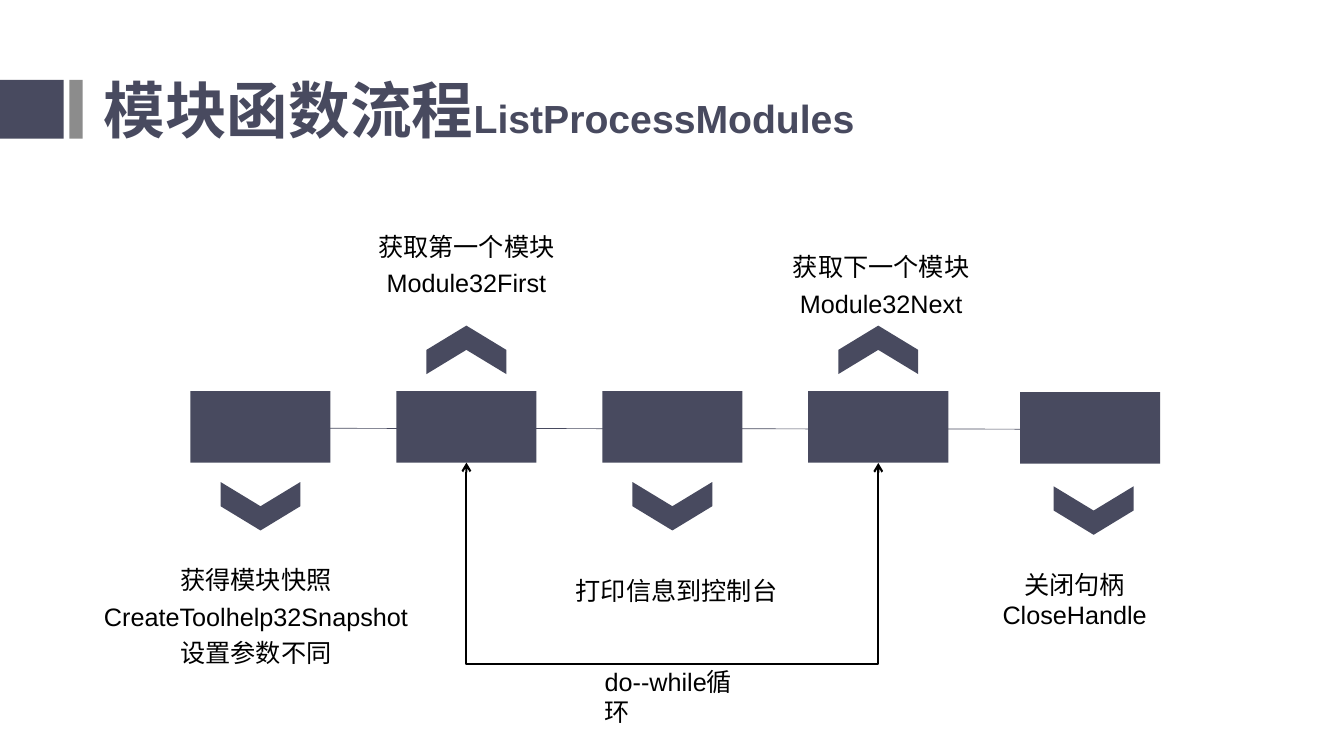
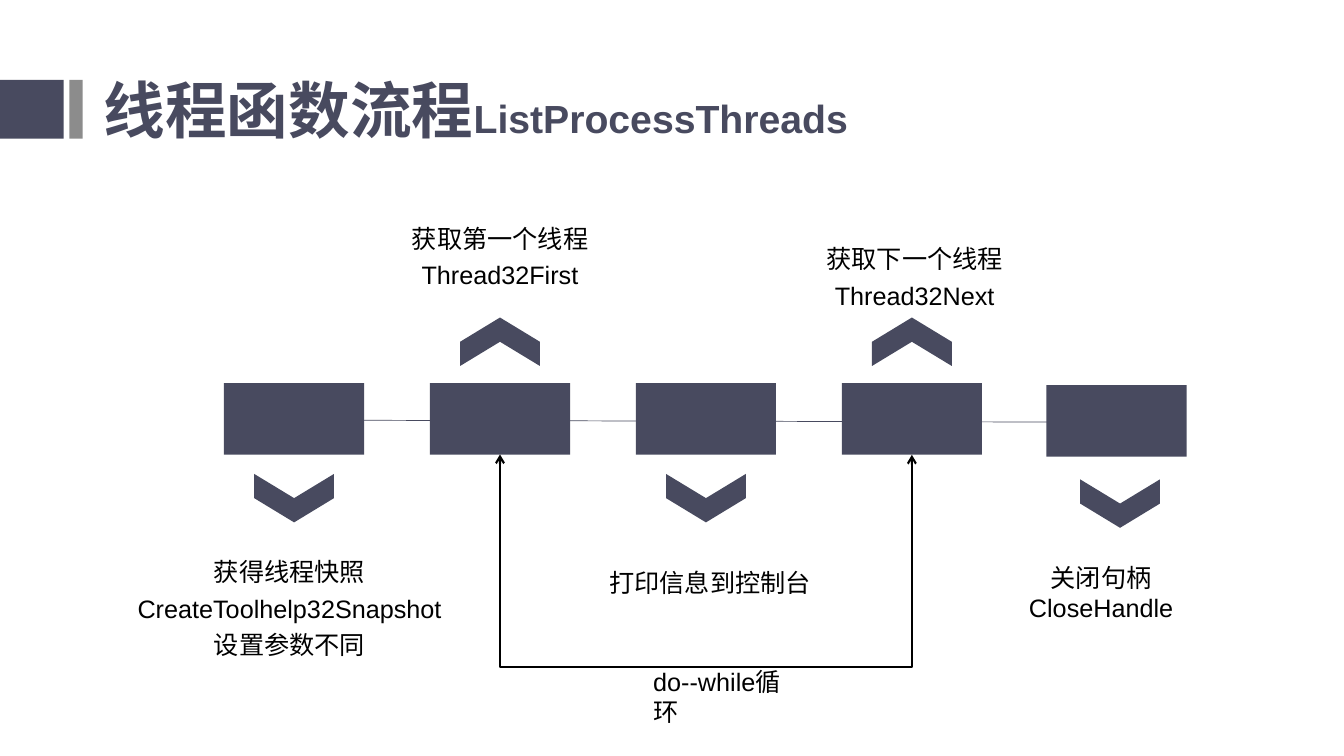
from lxml import etree
from pptx import Presentation
from pptx.dml.color import RGBColor
from pptx.enum.shapes import MSO_CONNECTOR, MSO_SHAPE
from pptx.enum.text import MSO_ANCHOR, PP_ALIGN
from pptx.oxml.ns import qn
from pptx.util import Pt

RECT, CHEVRON = MSO_SHAPE.RECTANGLE, MSO_SHAPE.CHEVRON
LINE, ELBOW = MSO_CONNECTOR.STRAIGHT, MSO_CONNECTOR.ELBOW
LEFT, CENTER = PP_ALIGN.LEFT, PP_ALIGN.CENTER
TOP, MIDDLE = MSO_ANCHOR.TOP, MSO_ANCHOR.MIDDLE

FONT = "Arial"
NAVY, GRAY, BLACK = "484A5F", "8C8C8C", "000000"
BOX_W, BOX_H, PITCH = 100.1, 51.1, 147.1
ARROW_W, ARROW_H = 57, 34.6
BOTTOM = 2


def color(code):
    return RGBColor.from_string(code)


def add_block(slide, kind, x, y, w, h, fill=NAVY):
    block = slide.shapes.add_shape(kind, Pt(x), Pt(y), Pt(w), Pt(h))
    block.shadow.inherit = False
    block.fill.solid()
    block.fill.fore_color.rgb = color(fill)
    block.line.fill.background()
    return block


def add_arrow(slide, mid_x, mid_y, turn):
    arrow = add_block(slide, CHEVRON, mid_x - ARROW_H / 2, mid_y - ARROW_W / 2,
                      ARROW_H, ARROW_W)
    arrow.rotation = turn


def style(run, size, code, bold=False):
    run.font.name = FONT
    run.font.size = Pt(size)
    run.font.bold = bold
    run.font.color.rgb = color(code)


def add_frame(slide, x, y, w, h, anchor=MIDDLE):
    frame = slide.shapes.add_textbox(Pt(x), Pt(y), Pt(w), Pt(h)).text_frame
    frame.word_wrap = True
    frame.vertical_anchor = anchor
    return frame


def add_label(slide, x, y, w, h, text, align=CENTER, space=1.2, anchor=MIDDLE):
    frame = add_frame(slide, x, y, w, h, anchor)
    frame.text = text
    for para in frame.paragraphs:
        para.alignment = align
        para.line_spacing = space
        for run in para.runs:
            style(run, 18, BLACK)


def add_line(slide, kind, x1, y1, x2, y2, width, code):
    line = slide.shapes.add_connector(kind, Pt(x1), Pt(y1), Pt(x2), Pt(y2))
    line.line.width = Pt(width)
    line.line.color.rgb = color(code)
    etree.SubElement(line.element.spPr, qn("a:effectLst"))
    return line


def add_loop(slide, first, last, x, y, drop):
    span, thin = 2 * PITCH, 0.25
    loop = add_line(slide, ELBOW, x, y, x + span, y, 1.5, BLACK)
    loop.begin_connect(first, BOTTOM)
    loop.end_connect(last, BOTTOM)
    loop.left, loop.top = Pt(x + span / 2 - thin / 2), Pt(y - span / 2)
    loop.width, loop.height = Pt(thin), Pt(span)
    props = loop.element.spPr
    frame = props.find(qn("a:xfrm"))
    frame.attrib.pop("flipH", None)
    frame.set("rot", "5400000")
    frame.set("flipV", "1")
    guides = props.find(qn("a:prstGeom")).find(qn("a:avLst"))
    etree.SubElement(guides, qn("a:gd"), name="adj1",
                     fmla=f"val {round(drop / thin * 100000)}")
    stroke = props.find(qn("a:ln"))
    for end in ("a:headEnd", "a:tailEnd"):
        etree.SubElement(stroke, qn(end), type="arrow")


def add_bands(slide, layout):
    bands = [(0, 45.5, NAVY), (49.5, 9.5, GRAY)]
    for index, (x, w, code) in enumerate(bands):
        band = add_block(slide, RECT, x, 57, w, 42, code)
        band.element.nvSpPr.cNvPr.id = 20 + index
        layout.shapes.element.append(band.element)


def add_title(slide, head, name):
    para = add_frame(slide, 67, 29, 828, 104).paragraphs[0]
    para.line_spacing = 0.9
    for text, size in ((head, 44), (name, 28)):
        run = para.add_run()
        run.text = text
        style(run, size, NAVY, True)


def add_flow(slide, x, y, topic, api, end_x, end_y, base, note_x):
    spots = [(i * PITCH, 0) for i in range(4)] + [(end_x, end_y)]
    half = BOX_W / 2
    add_line(slide, LINE, x + half, y + 26.5,
             x + end_x + half, y + end_y + 26.5, 0.5, NAVY)
    boxes = [add_block(slide, RECT, x + dx, y + dy, BOX_W, BOX_H)
             for dx, dy in spots]

    steps = [
        (f"获得{topic}快照\nCreateToolhelp32Snapshot\n设置参数不同",
         90, 0, 82.2, -3.2, 115, 324, 87, 1.2),
        (f"获取第一个{topic}\n{api}32First",
         270, 0, -29.5, 0, -127, 209.5, 69, 1.2),
        ("打印信息到控制台", 90, 0, 82.2, 3, 106, 229, 69, 1.2),
        (f"获取下一个{topic}\n{api}32Next",
         270, 0, -29.5, 2, -112.5, 209.5, 69, 1.2),
        ("关闭句柄\nCloseHandle", 90, 2.5, 84.6, -11, 113.8, 197, 69, 1),
    ]
    for (dx, dy), step in zip(spots, steps):
        text, turn, ax, ay, tx, ty, w, h, space = step
        mid, top = x + dx + half, y + dy
        add_arrow(slide, mid + ax, top + ay, turn)
        add_label(slide, mid + tx - w / 2, top + ty, w, h, text, space=space)

    foot = y + BOX_H
    add_loop(slide, boxes[1], boxes[3], x + PITCH + half, foot, base - foot)
    add_label(slide, x + note_x, 472.3, 123, 29, "do--while循环",
              LEFT, 1, TOP)


def main():
    deck = Presentation()
    deck.slide_width, deck.slide_height = Pt(960), Pt(540)
    blank = deck.slide_layouts[6]
    pages = [
        ("模块函数流程", "ListProcessModules",
         (136, 279.4, "模块", "Module", 592.6, 0.7, 471.8, 288.8)),
        ("线程函数流程", "ListProcessThreads",
         (160, 273.6, "线程", "Thread", 587.5, 1.5, 473.2, 299.5)),
    ]
    for index, (head, name, flow) in enumerate(pages):
        slide = deck.slides.add_slide(blank)
        if index == 0:
            add_bands(slide, blank)
        add_title(slide, head, name)
        add_flow(slide, *flow)
    deck.save("out.pptx")


if __name__ == "__main__":
    main()
